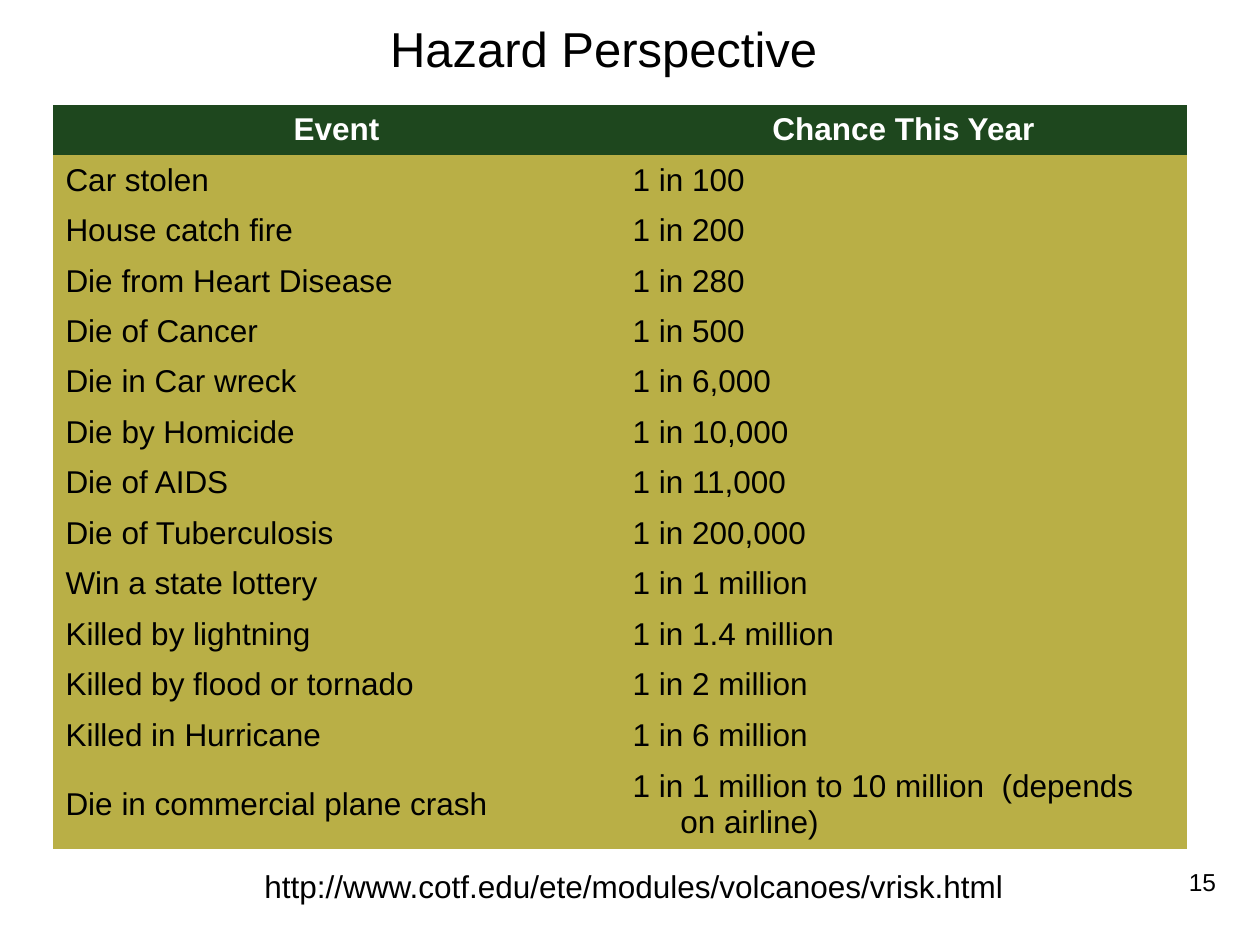
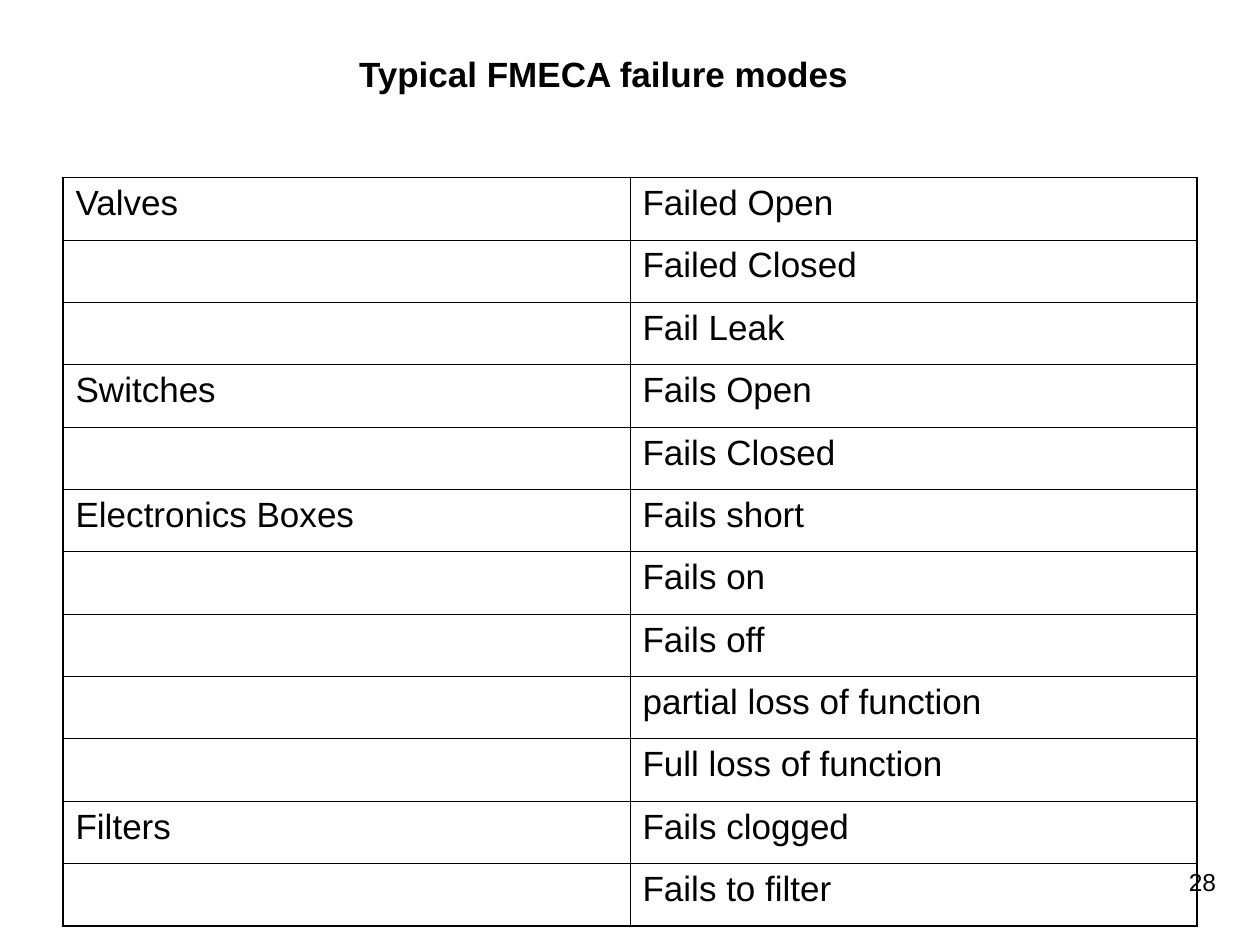
from lxml.etree import SubElement
from pptx import Presentation
from pptx.dml.color import RGBColor
from pptx.enum.text import MSO_ANCHOR, PP_ALIGN
from pptx.oxml.ns import qn
from pptx.util import Inches, Pt

HAZARDS = {
    "title": "Hazard Perspective",
    "header": ("Event", "Chance This Year"),
    "chances": [
        ("Car stolen", "1 in 100"),
        ("House catch fire", "1 in 200"),
        ("Die from Heart Disease", "1 in 280"),
        ("Die of Cancer", "1 in 500"),
        ("Die in Car wreck", "1 in 6,000"),
        ("Die by Homicide", "1 in 10,000"),
        ("Die of AIDS", "1 in 11,000"),
        ("Die of Tuberculosis", "1 in 200,000"),
        ("Win a state lottery", "1 in 1 million"),
        ("Killed by lightning", "1 in 1.4 million"),
        ("Killed by flood or tornado", "1 in 2 million"),
        ("Killed in Hurricane", "1 in 6 million"),
        ("Die in commercial plane crash", "1 in 1 million to 10 million  (depends on airline)"),
    ],
    "source": "http://www.cotf.edu/ete/modules/volcanoes/vrisk.html",
    "number": "15",
}
FAILURES = {
    "title": "Typical FMECA failure modes",
    "modes": {
        "Valves": ["Failed Open", "Failed Closed", "Fail Leak"],
        "Switches": ["Fails Open", "Fails Closed"],
        "Electronics Boxes": ["Fails short", "Fails on", "Fails off",
                              "partial loss of function", "Full loss of function"],
        "Filters": ["Fails clogged", "Fails to filter"],
    },
    "number": "28",
}

FONT = "Arial"
BLACK, WHITE, GREEN, OLIVE = "000000", "FFFFFF", "1E471E", "B9AF46"
NO_STYLE = "{2D5ABB26-0587-4C30-8999-92F81FD0307C}"
COLUMN_WIDTH = 4.5
OUTER_LINE, INNER_LINE = 1.08, 0.45
HANGING = Inches(0.38)


def rgb(hex_colour):
    return RGBColor.from_string(hex_colour)


def write(frame, words, size, colour=BLACK, bold=False, align=PP_ALIGN.LEFT):
    frame.text = words
    paragraph = frame.paragraphs[0]
    paragraph.alignment = align
    for run in paragraph.runs:
        run.font.name = FONT
        run.font.size = Pt(size)
        run.font.bold = bold
        run.font.color.rgb = rgb(colour)
    return paragraph


def add_text(slide, place, words, size, anchor=MSO_ANCHOR.TOP, wrap=True, **style):
    frame = slide.shapes.add_textbox(*map(Inches, place)).text_frame
    frame.word_wrap = wrap
    frame.vertical_anchor = anchor
    write(frame, words, size, **style)


def add_page(deck, content, title_height, title_size, title_bold=False):
    """Add a slide with the shared page number and title."""
    slide = deck.slides.add_slide(deck.slide_layouts[6])
    add_text(slide, (7.42, 6.83, 2.33, 0.52), content["number"], 14, align=PP_ALIGN.RIGHT)
    add_text(slide, (1.25, 0.17, 7.08, title_height), content["title"], title_size,
             anchor=MSO_ANCHOR.MIDDLE, bold=title_bold, align=PP_ALIGN.CENTER)
    return slide


def add_plain_table(slide, left, top, row_heights):
    """Add a two-column table without any built-in style."""
    holder = slide.shapes.add_table(len(row_heights), 2, Inches(left), Inches(top),
                                    Inches(2 * COLUMN_WIDTH), Inches(sum(row_heights)))
    for style_id in holder.element.iter(qn("a:tableStyleId")):
        style_id.text = NO_STYLE
    table = holder.table
    table.first_row = table.horz_banding = False
    for column in table.columns:
        column.width = Inches(COLUMN_WIDTH)
    for row, height in zip(table.rows, row_heights):
        row.height = Inches(height)
    return table


def set_borders(cell, widths):
    properties = cell._tc.get_or_add_tcPr()
    for side, width in widths.items():
        line = SubElement(properties, qn(f"a:ln{side}"), w=str(Pt(width)))
        fill = SubElement(line, qn("a:solidFill"))
        SubElement(fill, qn("a:srgbClr"), val=BLACK)


def build_hazards(deck):
    slide = add_page(deck, HAZARDS, 0.42, 28)
    rows = [HAZARDS["header"]] + HAZARDS["chances"]
    table = add_plain_table(slide, 0.42, 0.83, [0.4] * (len(rows) - 1) + [0.7])
    for r, row in enumerate(rows):
        is_header = r == 0
        for c, words in enumerate(row):
            cell = table.cell(r, c)
            cell.vertical_anchor = MSO_ANCHOR.MIDDLE
            cell.fill.solid()
            cell.fill.fore_color.rgb = rgb(GREEN if is_header else OLIVE)
            paragraph = write(cell.text_frame, words, 18,
                              colour=WHITE if is_header else BLACK, bold=is_header,
                              align=PP_ALIGN.CENTER if is_header else PP_ALIGN.LEFT)
            indents = paragraph._p.get_or_add_pPr()
            indents.set("marL", str(HANGING))
            indents.set("indent", str(-HANGING))
    add_text(slide, (2, 6.83, 6.08, 0.4), HAZARDS["source"], 18, wrap=False)


def build_failures(deck):
    slide = add_page(deck, FAILURES, 0.83, 20, title_bold=True)
    rows = [(part if i == 0 else "", mode)
            for part, modes in FAILURES["modes"].items() for i, mode in enumerate(modes)]
    last = len(rows) - 1
    table = add_plain_table(slide, 0.5, 1.41, [5.94 / len(rows)] * len(rows))
    for r, row in enumerate(rows):
        for c, words in enumerate(row):
            cell = table.cell(r, c)
            on_edge = {"L": c == 0, "R": c == 1, "T": r == 0, "B": r == last}
            set_borders(cell, {side: OUTER_LINE if edge else INNER_LINE
                               for side, edge in on_edge.items()})
            cell.fill.background()
            write(cell.text_frame, words, 20)


def main():
    deck = Presentation()
    deck.slide_width, deck.slide_height = Inches(10), Inches(7.5)
    build_hazards(deck)
    build_failures(deck)
    deck.save("out.pptx")


if __name__ == "__main__":
    main()
